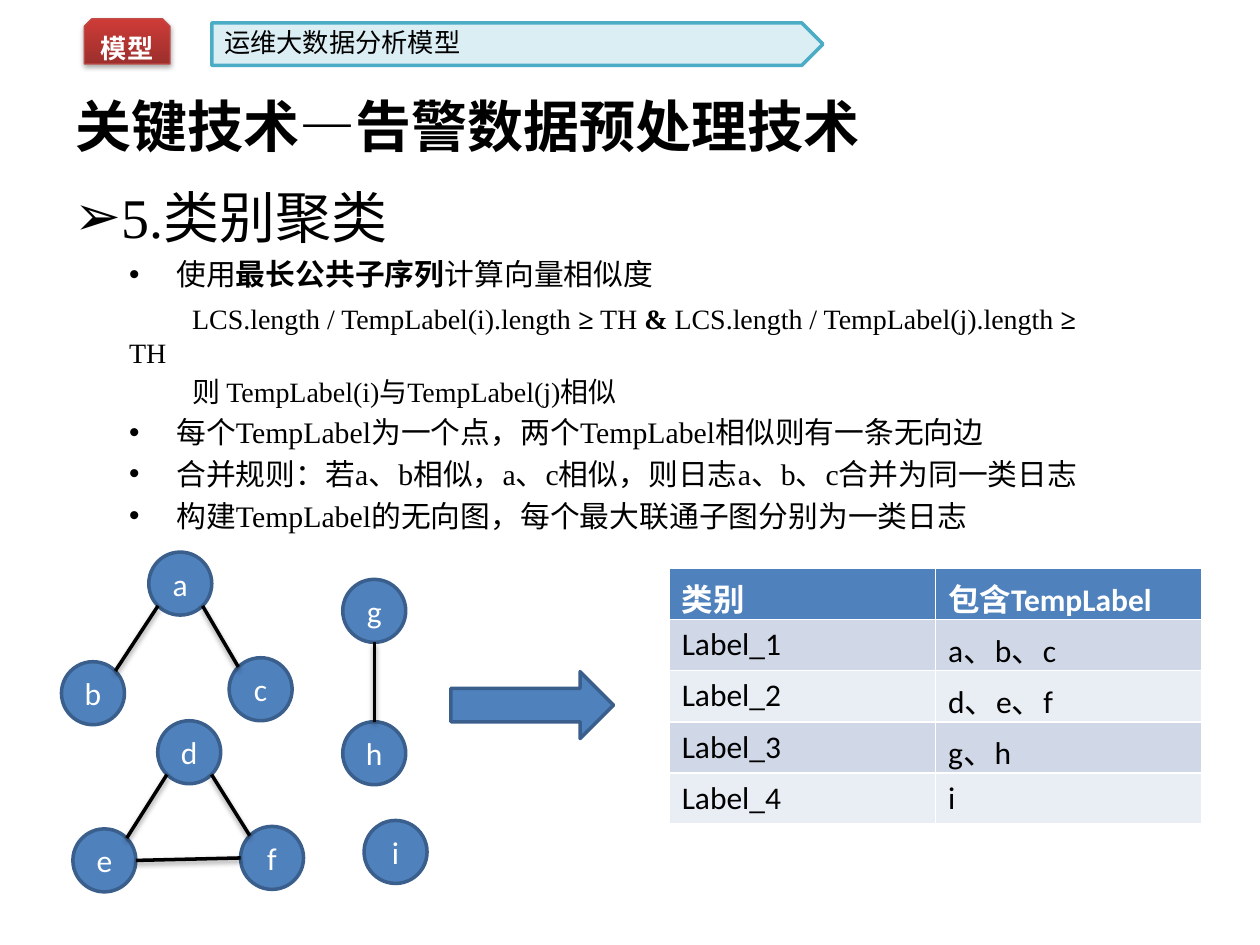
"""Build the slide on category clustering of alarm logs."""
from math import sqrt

from lxml.etree import SubElement
from pptx import Presentation
from pptx.dml.color import RGBColor
from pptx.enum.shapes import MSO_CONNECTOR, MSO_SHAPE
from pptx.enum.text import MSO_ANCHOR, MSO_AUTO_SIZE, PP_ALIGN
from pptx.oxml.ns import qn
from pptx.util import Cm, Pt

BLACK = RGBColor(0x00, 0x00, 0x00)
WHITE = RGBColor(0xFF, 0xFF, 0xFF)
BLUE = RGBColor(0x4F, 0x81, 0xBD)
DARK_BLUE = RGBColor(0x3A, 0x5F, 0x8C)
PALE_AQUA = RGBColor(0xDB, 0xEE, 0xF4)
AQUA = RGBColor(0x4B, 0xAC, 0xC6)
DARK_RED = RGBColor(0x9C, 0x2F, 0x2D)
RED = RGBColor(0xCE, 0x3B, 0x37)
RED_EDGE = RGBColor(0xBF, 0x4C, 0x48)
BAND_DARK = RGBColor(0xD0, 0xD8, 0xE8)
BAND_LIGHT = RGBColor(0xE9, 0xED, 0xF4)

TITLE = {"name": "Times New Roman", "size": Pt(32), "bold": True}
HEADING = {"name": "Times New Roman", "size": Pt(32)}
ITEM = {"name": "Times New Roman", "size": Pt(17)}
FORMULA = {"name": "Times New Roman", "size": Pt(16)}
BANNER = {"name": "Noto Sans CJK SC", "size": Pt(15)}
LABEL = {"name": "Calibri", "size": Pt(18)}


def add_run(paragraph, text, values, color):
    run = paragraph.add_run()
    run.text = text
    run.font.color.rgb = color
    for name, value in values.items():
        setattr(run.font, name, value)


def add_shadow(shape, opacity):
    effects = shape._element.spPr.get_or_add_effectLst() if hasattr(
        shape._element.spPr, "get_or_add_effectLst") else SubElement(shape._element.spPr, qn("a:effectLst"))
    shadow = SubElement(effects, qn("a:outerShdw"), blurRad=str(Pt(3.1)), dist=str(Pt(1.7)),
                        dir="5400000", rotWithShape="0")
    color = SubElement(shadow, qn("a:srgbClr"), val=str(BLACK))
    SubElement(color, qn("a:alpha"), val=str(opacity * 1000))


presentation = Presentation()
presentation.slide_width, presentation.slide_height = Cm(25.4), Cm(19.05)
slide = presentation.slides.add_slide(presentation.slide_layouts[1])
shapes = slide.shapes

title, body = shapes.title, slide.placeholders[1]
for placeholder, box in ((title, (1.27, 1.12, 22.86, 2.82)), (body, (1.24, 3.56, 22.86, 7.16))):
    for name, value in zip(("left", "top", "width", "height"), box):
        setattr(placeholder, name, Cm(value))
    placeholder.text_frame.word_wrap = True
    placeholder.text_frame.auto_size = MSO_AUTO_SIZE.NONE
title.text_frame.vertical_anchor = MSO_ANCHOR.MIDDLE
title_paragraph = title.text_frame.paragraphs[0]
title_paragraph.alignment = PP_ALIGN.LEFT
add_run(title_paragraph, "关键技术—告警数据预处理技术", TITLE, BLACK)

HEADING_LEVEL = (0, 0.95, -0.95, "➢", HEADING)
ITEM_LEVEL = (1, 2.06, -0.95, "•", ITEM)
FORMULA_LEVEL = (1, 1.11, 0, None, FORMULA)
outline = [
    (HEADING_LEVEL, ["5.类别聚类"]),
    (ITEM_LEVEL, ["使用", "最长公共子序列", "计算向量相似度"]),
    (FORMULA_LEVEL, ["\tLCS.length / TempLabel(i).length ", "≥", " TH", " & ",
                     "LCS.length / TempLabel(j).length ", "≥", "\n", "TH"]),
    (FORMULA_LEVEL, ["\t则 TempLabel(i)与TempLabel(j)相似"]),
    (ITEM_LEVEL, ["每个TempLabel为一个点，两个TempLabel相似则有一条无向边"]),
    (ITEM_LEVEL, ["合并规则：若a、b相似，a、c相似，则日志a、b、c合并为同一类日志"]),
    (ITEM_LEVEL, ["构建TempLabel的无向图，每个最大联通子图分别为一类日志"]),
]
bold_parts = {"最长公共子序列", "≥", " & "}
for index, ((level, margin, indent, bullet, values), parts) in enumerate(outline):
    frame = body.text_frame
    paragraph = frame.add_paragraph() if index else frame.paragraphs[0]
    paragraph.level = level
    properties = paragraph._p.get_or_add_pPr()
    properties.set("marL", str(Cm(margin)))
    properties.set("indent", str(Cm(indent)))
    if bullet:
        SubElement(properties, qn("a:buFont"), typeface="Arial")
        SubElement(properties, qn("a:buChar"), char=bullet)
    else:
        SubElement(properties, qn("a:buNone"))
    for part in parts:
        if part == "\n":
            paragraph.add_line_break()
        else:
            add_run(paragraph, part, {**values, "bold": part in bold_parts}, BLACK)

banner = shapes.add_group_shape()
pentagon = banner.shapes.add_shape(MSO_SHAPE.PENTAGON, Cm(4.27), Cm(0.46), Cm(12.32), Cm(0.86))
pentagon.shadow.inherit = False
pentagon.fill.solid()
pentagon.fill.fore_color.rgb = PALE_AQUA
pentagon.line.color.rgb = AQUA
pentagon.line.width = Pt(2)
caption = banner.shapes.add_textbox(Cm(4.27), Cm(0.41), Cm(12.32), Cm(0.89))
caption.text_frame.word_wrap = True
add_run(caption.text_frame.paragraphs[0], "运维大数据分析模型", BANNER, BLACK)

badge = shapes.add_shape(MSO_SHAPE.SNIP_2_SAME_RECTANGLE, Cm(1.7), Cm(0.38), Cm(1.73), Cm(0.91))
badge.fill.gradient()
badge.fill.gradient_angle = 90
for stop, color in zip(badge.fill.gradient_stops, (DARK_RED, RED)):
    stop.color.rgb = color
badge.line.color.rgb = RED_EDGE
badge.line.width = Pt(0.75)
add_shadow(badge, 35)
badge.text_frame.vertical_anchor = MSO_ANCHOR.MIDDLE
badge_paragraph = badge.text_frame.paragraphs[0]
badge_paragraph.alignment = PP_ALIGN.CENTER
badge_paragraph.line_spacing = 1.3
add_run(badge_paragraph, "模型", {**BANNER, "bold": True}, WHITE)

DIAMETER = 1.27
nodes = {
    "a": (3, 11.13), "b": (1.24, 13.34), "c": (4.62, 13.26),
    "d": (3.18, 14.53), "e": (1.47, 16.71), "f": (4.85, 16.66),
    "g": (6.91, 11.68), "h": (6.91, 14.55), "i": (7.34, 16.54),
}
blue_shapes = [shapes.add_shape(MSO_SHAPE.RIGHT_ARROW, Cm(9.09), Cm(13.54), Cm(3.28), Cm(1.35))]
for label, (left, top) in nodes.items():
    node = shapes.add_shape(MSO_SHAPE.OVAL, Cm(left), Cm(top), Cm(DIAMETER), Cm(DIAMETER))
    node.text_frame.vertical_anchor = MSO_ANCHOR.MIDDLE
    paragraph = node.text_frame.paragraphs[0]
    paragraph.alignment = PP_ALIGN.CENTER
    add_run(paragraph, label, LABEL, WHITE)
    blue_shapes.append(node)
for shape in blue_shapes:
    shape.shadow.inherit = False
    shape.fill.solid()
    shape.fill.fore_color.rgb = BLUE
    shape.line.color.rgb = DARK_BLUE
    shape.line.width = Pt(2)

DIAGONAL = 1 / sqrt(2)
UP_RIGHT, UP_LEFT = (DIAGONAL, -DIAGONAL), (-DIAGONAL, -DIAGONAL)
DOWN_RIGHT, DOWN_LEFT = (DIAGONAL, DIAGONAL), (-DIAGONAL, DIAGONAL)
UP, DOWN, LEFT, RIGHT = (0, -1), (0, 1), (-1, 0), (1, 0)
edges = [
    ("b", UP_RIGHT, "a", DOWN_LEFT), ("a", DOWN_RIGHT, "c", UP_LEFT),
    ("e", UP_RIGHT, "d", DOWN_LEFT), ("d", DOWN_RIGHT, "f", UP_LEFT),
    ("e", RIGHT, "f", LEFT), ("g", DOWN, "h", UP),
]
for start, start_side, end, end_side in edges:
    points = [Cm(corner + DIAMETER / 2 * (1 + offset))
              for label, side in ((start, start_side), (end, end_side))
              for corner, offset in zip(nodes[label], side)]
    edge = shapes.add_connector(MSO_CONNECTOR.STRAIGHT, *points)
    edge.line.color.rgb = BLACK
    edge.line.width = Pt(2)
    add_shadow(edge, 38)

rows = [("类别", "包含TempLabel"), ("Label_1", "a、b、c"), ("Label_2", "d、e、f"),
        ("Label_3", "g、h"), ("Label_4", "i")]
table = shapes.add_table(len(rows), 2, Cm(13.49), Cm(11.46), Cm(10.74), Cm(5.15)).table
for row_index, row in enumerate(rows):
    is_header = row_index == 0
    fill = BLUE if is_header else (BAND_LIGHT, BAND_DARK)[row_index % 2]
    for column_index, text in enumerate(row):
        cell = table.cell(row_index, column_index)
        cell.fill.solid()
        cell.fill.fore_color.rgb = fill
        add_run(cell.text_frame.paragraphs[0], text, {**LABEL, "bold": is_header},
                WHITE if is_header else BLACK)

presentation.save("out.pptx")
